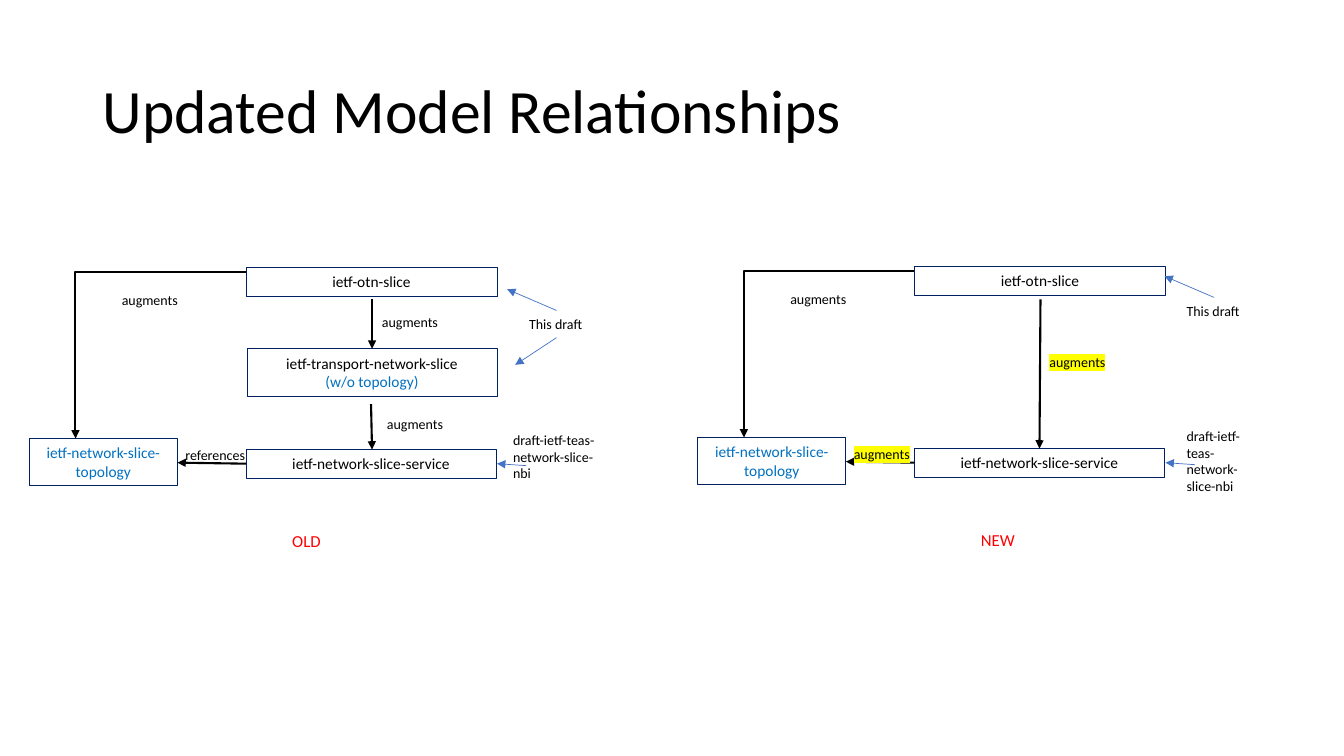
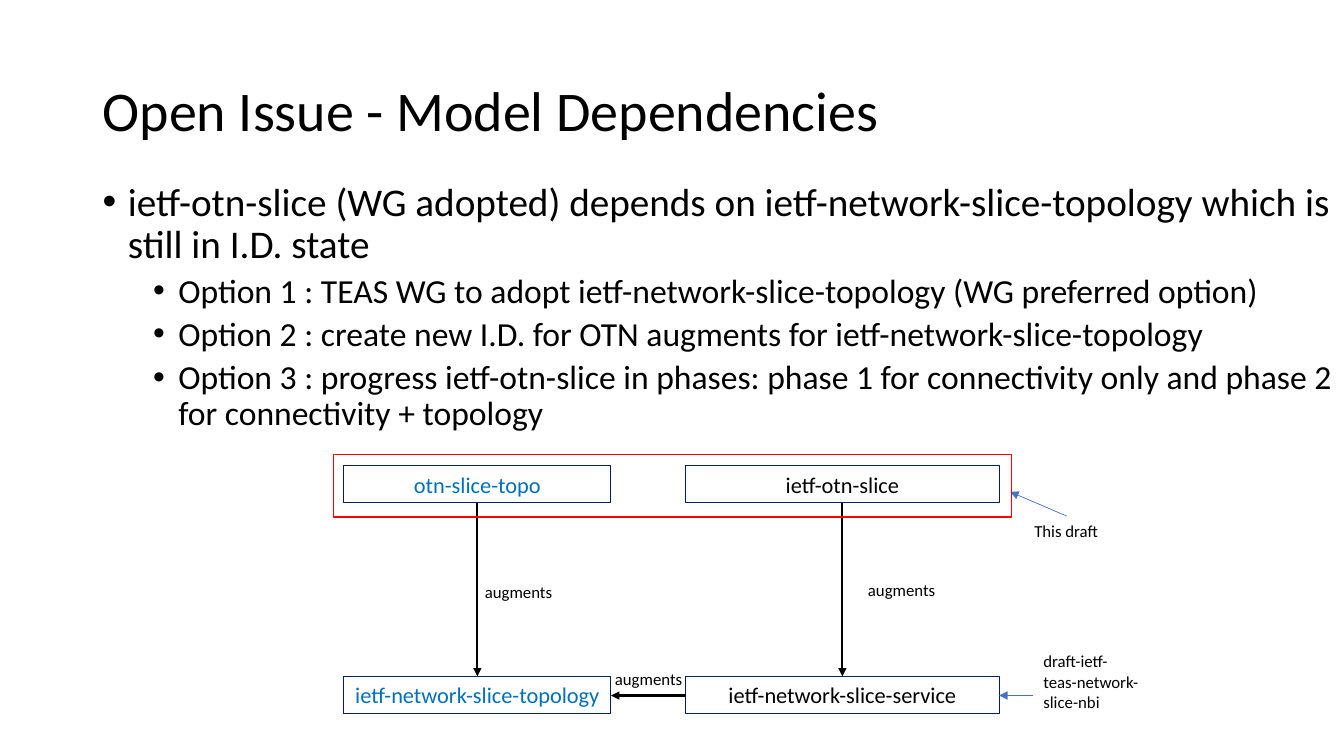
from lxml.etree import SubElement
from pptx import Presentation
from pptx.dml.color import RGBColor
from pptx.enum.shapes import MSO_CONNECTOR, MSO_SHAPE
from pptx.enum.text import MSO_ANCHOR, PP_ALIGN
from pptx.oxml import parse_xml
from pptx.oxml.ns import nsdecls, qn
from pptx.util import Inches, Pt

FONT = "Calibri"
COLORS = {"text": "000000", "box": "002060", "topology": "0070C0", "pointer": "4472C4",
          "alert": "FF0000", "changed": "FFFF00"}
DRAFT = "draft-ietf-teas-network-slice-nbi"
OTN = "ietf-otn-slice"
SERVICE = "ietf-network-slice-service"
TOPOLOGY = "ietf-network-slice-topology"


def rgb(name):
    return RGBColor.from_string(COLORS[name])


def write(tf, text, size=10, color="text", align=None, highlight=None,
          spacing=None, before=0, indent=None):
    p = tf.paragraphs[0] if not tf.text else tf.add_paragraph()
    p.alignment = align
    p.space_before = Pt(before)
    if spacing:
        p.line_spacing = spacing
    if indent is not None:
        pPr = p._p.get_or_add_pPr()
        pPr.set("marL", str(Inches(indent)))
        pPr.set("indent", str(Inches(-0.25)))
        SubElement(pPr, qn("a:buFont"), typeface="Arial")
        SubElement(pPr, qn("a:buChar"), char="•")
    r = p.add_run()
    r.text = text
    r.font.size = Pt(size)
    r.font.name = FONT
    r.font.color.rgb = rgb(color)
    if highlight:
        mark = parse_xml(f'<a:highlight {nsdecls("a")}><a:srgbClr val="{COLORS[highlight]}"/></a:highlight>')
        r._r.get_or_add_rPr().find(qn("a:solidFill")).addnext(mark)


def text_frame(s, x, y, w, h, wrap=True, anchor=MSO_ANCHOR.TOP):
    tf = s.shapes.add_textbox(Inches(x), Inches(y), Inches(w), Inches(h)).text_frame
    tf.word_wrap = wrap
    tf.vertical_anchor = anchor
    return tf


def label(s, x, y, text, w=0.77, h=0.27, wrap=False, **fmt):
    write(text_frame(s, x, y, w, h, wrap), text, **fmt)


def frame(s, x, y, w, h, color="box", width=0.75):
    sp = s.shapes.add_shape(MSO_SHAPE.RECTANGLE, Inches(x), Inches(y), Inches(w), Inches(h))
    sp.shadow.inherit = False
    sp.fill.background()
    sp.line.color.rgb = rgb(color)
    sp.line.width = Pt(width)
    return sp


def model(s, x, y, w, h, *lines, size=11):
    tf = frame(s, x, y, w, h).text_frame
    tf.word_wrap = True
    tf.vertical_anchor = MSO_ANCHOR.TOP
    for text, color in lines:
        write(tf, text, size=size, color=color, align=PP_ALIGN.CENTER)


def arrow(s, x1, y1, x2, y2, color="text", width=1.5, bend=None):
    kind = MSO_CONNECTOR.ELBOW if bend else MSO_CONNECTOR.STRAIGHT
    c = s.shapes.add_connector(kind, Inches(x1), Inches(y1), Inches(x2), Inches(y2))
    c.line.color.rgb = rgb(color)
    c.line.width = Pt(width)
    SubElement(c.line._get_or_add_ln(), qn("a:tailEnd"), type="triangle")
    spPr = c._element.spPr
    SubElement(spPr, qn("a:effectLst"))
    if bend:
        guides = spPr.find(qn("a:prstGeom")).get_or_add_avLst()
        SubElement(guides, qn("a:gd"), name="adj1", fmla=f"val {bend}")


def pointer(s, x1, y1, x2, y2):
    arrow(s, x1, y1, x2, y2, color="pointer", width=0.5)


def title(s, text, size, w):
    tf = text_frame(s, 0.92, 0.4, w, 1.45, anchor=MSO_ANCHOR.MIDDLE)
    write(tf, text, size=size, spacing=0.9)


def relationships(s, x, y, caption, caption_x, link, highlight=None):
    model(s, x + 2.15, y + 1.81, 2.48, 0.29, (SERVICE, "text"))
    model(s, x + 2.15, y, 2.49, 0.29, (OTN, "text"))
    model(s, x, y + 1.7, 1.47, 0.47, (TOPOLOGY, "topology"))
    arrow(s, x + 2.15, y + 1.95, x + 1.47, y + 1.94)
    label(s, x + 1.45, y + 1.73, link, w=0.81 if link == "references" else 0.77,
          highlight=highlight)
    label(s, x + 0.82, y + 0.19, "augments")
    arrow(s, x + 2.15, y + 0.05, x + 0.46, y + 1.7, bend=100100)
    pointer(s, x + 4.93, y + 1.97, x + 4.64, y + 1.95)
    label(s, x + caption_x, y + 2.57, caption, w=1.14, h=0.3, wrap=True, size=12, color="alert")


def old_relationships(s, x, y):
    relationships(s, x, y, "OLD", 2.51, "references")
    model(s, x + 2.16, y + 0.81, 2.48, 0.47,
          ("ietf-transport-network-slice", "text"), ("(w/o topology)", "topology"))
    arrow(s, x + 3.39, y + 1.36, x + 3.4, y + 1.81)
    label(s, x + 3.45, y + 1.42, "augments")
    arrow(s, x + 3.4, y + 0.32, x + 3.4, y + 0.81)
    label(s, x + 3.4, y + 0.41, "augments")
    label(s, x + 4.86, y + 0.43, "This draft", w=0.74)
    pointer(s, x + 5.23, y + 0.43, x + 4.74, y + 0.22)
    pointer(s, x + 5.23, y + 0.7, x + 4.82, y + 0.97)
    label(s, x + 4.7, y + 1.58, DRAFT, w=1.02, h=0.61, wrap=True)


def new_relationships(s, x, y):
    relationships(s, x, y, "NEW", 2.71, "augments", highlight="changed")
    arrow(s, x + 3.4, y + 0.33, x + 3.39, y + 1.81)
    label(s, x + 3.39, y + 0.82, "augments", highlight="changed")
    label(s, x + 4.75, y + 0.31, "This draft", w=0.74)
    pointer(s, x + 5.12, y + 0.31, x + 4.63, y + 0.1)
    label(s, x + 4.75, y + 1.55, DRAFT, w=0.74, h=0.77, wrap=True)


def options(s, x, y, w, h):
    tf = text_frame(s, x, y, w, h)
    write(tf, "ietf-otn-slice (WG adopted) depends on ietf-network-slice-topology which is "
          "still in I.D. state", size=28, spacing=0.9, before=10, indent=0.25)
    choices = ["TEAS WG to adopt ietf-network-slice-topology (WG preferred option)",
               "create new I.D. for OTN augments for ietf-network-slice-topology",
               "progress ietf-otn-slice in phases: phase 1 for connectivity only "
               "and phase 2 for connectivity + topology"]
    for n, choice in enumerate(choices, 1):
        write(tf, f"Option {n} : {choice}", size=24, spacing=0.9, before=5, indent=0.75)


def dependencies(s, x, y):
    columns = [(0.1, 2.65, "otn-slice-topo", TOPOLOGY, "topology", 1.4, 1.21),
               (3.49, 3.11, OTN, SERVICE, "text", 5.2, 1.19)]
    for left, w, upper, lower, color, label_x, label_y in columns:
        for top, name in ((0.11, upper), (2.2, lower)):
            model(s, x + left, y + top, w, 0.37, (name, color), size=16)
        middle = x + left + w / 2
        arrow(s, middle, y + 0.48, middle, y + 2.2)
        label(s, x + label_x, y + label_y, "augments", w=0.88, h=0.3, size=12)
    arrow(s, x + 3.49, y + 2.39, x + 2.75, y + 2.39)
    label(s, x + 2.69, y + 2.08, "augments", w=0.88, h=0.3, size=12)
    label(s, x + 6.85, y + 0.61, "This draft", w=0.84, h=0.3, size=12)
    pointer(s, x + 7.27, y + 0.61, x + 6.71, y + 0.37)
    label(s, x + 6.94, y + 1.9, DRAFT, w=1.16, h=0.71, wrap=True, size=12)
    pointer(s, x + 6.94, y + 2.39, x + 6.6, y + 2.39)
    frame(s, x, y, 6.72, 0.62, color="alert", width=1)


def relationships_slide(s):
    title(s, "Updated Model Relationships", 44, 11.5)
    old_relationships(s, 0.29, 2.65)
    new_relationships(s, 6.92, 2.64)


def issue_slide(s):
    title(s, "Open Issue - Model Dependencies", 40, 12.02)
    options(s, 0.92, 1.76, 12.41, 2.7)
    dependencies(s, 3.31, 4.51)


prs = Presentation()
prs.slide_width, prs.slide_height = Inches(13.33), Inches(7.5)
for build in (relationships_slide, issue_slide):
    build(prs.slides.add_slide(prs.slide_layouts[6]))
prs.save("out.pptx")
